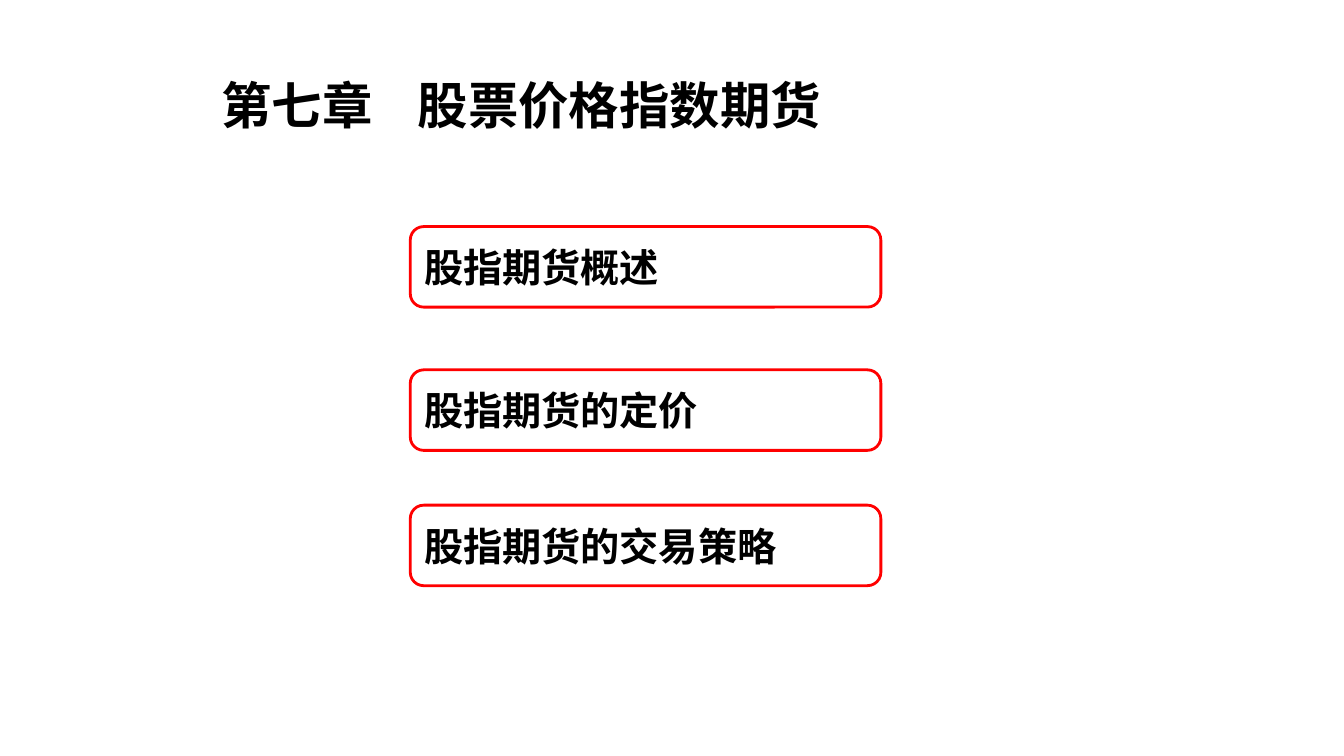
from lxml.etree import SubElement
from pptx import Presentation
from pptx.dml.color import RGBColor
from pptx.enum.shapes import MSO_SHAPE
from pptx.enum.text import MSO_ANCHOR, PP_ALIGN
from pptx.oxml.ns import qn
from pptx.util import Cm, Pt

FONT = "Noto Sans CJK SC"
TOPICS = [  # top in cm, wording
    (5.71, "股指期货概述"),
    (9.32, "股指期货的定价"),
    (12.73, "股指期货的交易策略"),
]


def color(code):
    return RGBColor.from_string(code)


def write(shape, text, size=28, font=FONT, fill="000000", tab=None):
    frame = shape.text_frame
    frame.word_wrap = True
    frame.vertical_anchor = MSO_ANCHOR.MIDDLE
    para = frame.paragraphs[0]
    para.alignment = PP_ALIGN.LEFT
    if tab is not None:
        stops = SubElement(para._p.get_or_add_pPr(), qn("a:tabLst"))
        SubElement(stops, qn("a:tab"), pos=str(tab), algn="l")
    run = para.add_run()
    run.text = text
    run.font.size = Pt(size)
    run.font.bold = True
    run.font.name = font
    run.font.color.rgb = color(fill)
    # East Asian typeface
    SubElement(run._r.get_or_add_rPr(), qn("a:ea"), typeface=FONT)


def title(slide, text):
    box = slide.shapes.add_textbox(Cm(5.33), Cm(1.73), Cm(22.2), Cm(1.78))
    write(box, text, size=36, font="Arial", tab=Cm(4.95))


def topic(slide, top, text):
    box = slide.shapes.add_shape(
        MSO_SHAPE.FLOWCHART_ALTERNATE_PROCESS,
        Cm(10.34), Cm(top), Cm(11.86), Cm(2.03))
    box.shadow.inherit = False
    box.fill.background()
    box.line.color.rgb = color("FF0000")
    box.line.width = Pt(2)
    write(box, text)


def main():
    deck = Presentation()
    deck.slide_width, deck.slide_height = Cm(33.87), Cm(19.05)
    slide = deck.slides.add_slide(deck.slide_layouts[6])

    # Chapter topics
    for top, text in TOPICS:
        topic(slide, top, text)

    # Chapter title
    title(slide, "第七章\t股票价格指数期货")

    deck.save("out.pptx")


if __name__ == "__main__":
    main()
